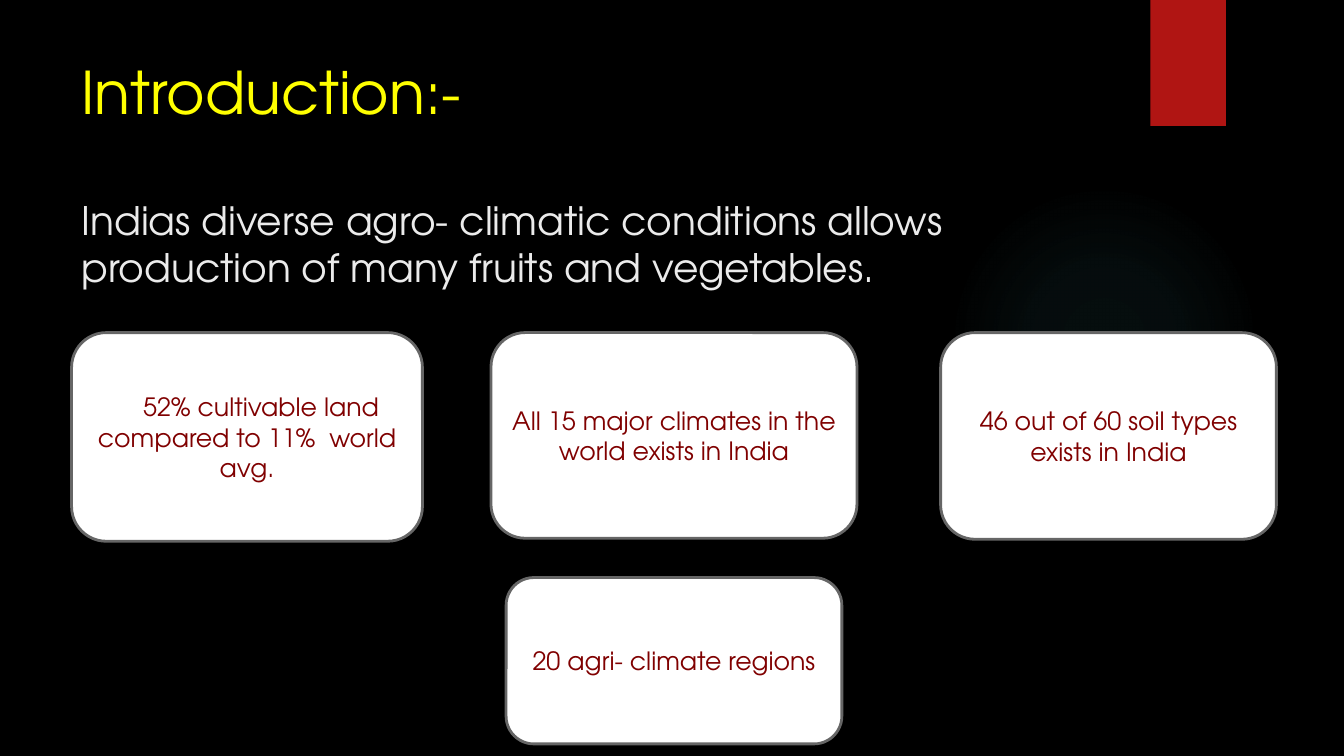
from lxml.etree import fromstring
from pptx import Presentation
from pptx.dml.color import RGBColor
from pptx.enum.shapes import MSO_SHAPE
from pptx.enum.text import MSO_ANCHOR, PP_ALIGN
from pptx.oxml.ns import nsdecls, qn
from pptx.util import Inches, Pt

FONT = "TeX Gyre Adventor"
BLACK = RGBColor(0x00, 0x00, 0x00)
WHITE = RGBColor(0xFF, 0xFF, 0xFF)
PALE = RGBColor(0xEB, 0xEB, 0xEB)
YELLOW = RGBColor(0xFF, 0xFF, 0x00)
RED = RGBColor(0xB0, 0x15, 0x13)
MAROON = RGBColor(0x80, 0x00, 0x00)
GREY = RGBColor(0x66, 0x66, 0x66)
TEAL = RGBColor(0x50, 0xB9, 0xC1)
GLOW = ((0, 7), (36, 6), (69, 0))
ROW = 3.3
FACTS = (
    ((0.71, ROW, 3.48, 2.07), "52% cultivable land compared to 11%  world avg.", 0.28),
    ((4.87, ROW, 3.63, 2.04), "All 15 major climates in the world exists in India", 0),
    ((9.33, ROW, 3.33, 2.05), "46 out of 60 soil types exists in India", 0),
    ((5.02, 5.73, 3.33, 1.65), "20 agri- climate regions", 0),
)


def add_run(para, text, size, color):
    """Add one styled run to a paragraph."""
    run = para.add_run()
    run.text = text
    run.font.name = FONT
    run.font.size = Pt(size)
    run.font.color.rgb = color


def add_form(slide, kind, box, color):
    """Draw a flat preset shape with no line in the box."""
    form = slide.shapes.add_shape(kind, *map(Inches, box))
    form.shadow.inherit = False
    form.fill.solid()
    form.fill.fore_color.rgb = color
    form.line.fill.background()
    return form


def add_glow(slide, box):
    """Draw a faint round glow that fades towards the edge of the box."""
    glow = add_form(slide, MSO_SHAPE.OVAL, box, TEAL)
    stops = "".join(
        f'<a:gs pos="{pos * 1000}"><a:srgbClr val="{TEAL}">'
        f'<a:alpha val="{alpha * 1000}"/></a:srgbClr></a:gs>'
        for pos, alpha in GLOW
    )
    fill = fromstring(
        f'<a:gradFill {nsdecls("a")}><a:gsLst>{stops}</a:gsLst><a:path path="circle">'
        '<a:fillToRect l="50000" t="50000" r="50000" b="50000"/></a:path></a:gradFill>'
    )
    props = glow.element.spPr
    props.replace(props.find(qn("a:solidFill")), fill)


def add_intro(slide, box):
    """Write the heading and the statement below it."""
    frame = slide.shapes.add_textbox(*map(Inches, box)).text_frame
    frame.word_wrap = True
    add_run(frame.paragraphs[0], "Introduction:-", 42, YELLOW)
    para = frame.add_paragraph()
    para.space_before = Pt(50)
    text = "Indias diverse agro- climatic conditions allows production of many fruits and vegetables."
    add_run(para, text, 28, PALE)


def add_fact(slide, box, text, indent):
    """Draw a rounded card with one centred fact."""
    card = add_form(slide, MSO_SHAPE.ROUNDED_RECTANGLE, box, WHITE)
    card.line.color.rgb = GREY
    card.line.width = Pt(2)
    frame = card.text_frame
    frame.word_wrap = True
    frame.vertical_anchor = MSO_ANCHOR.MIDDLE
    para = frame.paragraphs[0]
    para.alignment = PP_ALIGN.CENTER
    if indent:
        props = para._p.get_or_add_pPr()
        props.set("marL", "0")
        props.set("indent", str(Inches(indent)))
    add_run(para, text, 18, MAROON)


def main():
    """Build the slide and save it."""
    deck = Presentation()
    deck.slide_width, deck.slide_height = Inches(13.33), Inches(7.5)
    slide = deck.slides.add_slide(deck.slide_layouts[6])
    slide.background.fill.solid()
    slide.background.fill.fore_color.rgb = BLACK
    add_glow(slide, (9.41, 1.83, 3.08, 3.08))
    add_form(slide, MSO_SHAPE.RECTANGLE, (11.41, 0, 0.75, 1.25), RED)
    add_intro(slide, (0.71, 0.5, 10.29, 2.5))
    for box, text, indent in FACTS:
        add_fact(slide, box, text, indent)
    deck.save("out.pptx")


if __name__ == "__main__":
    main()
